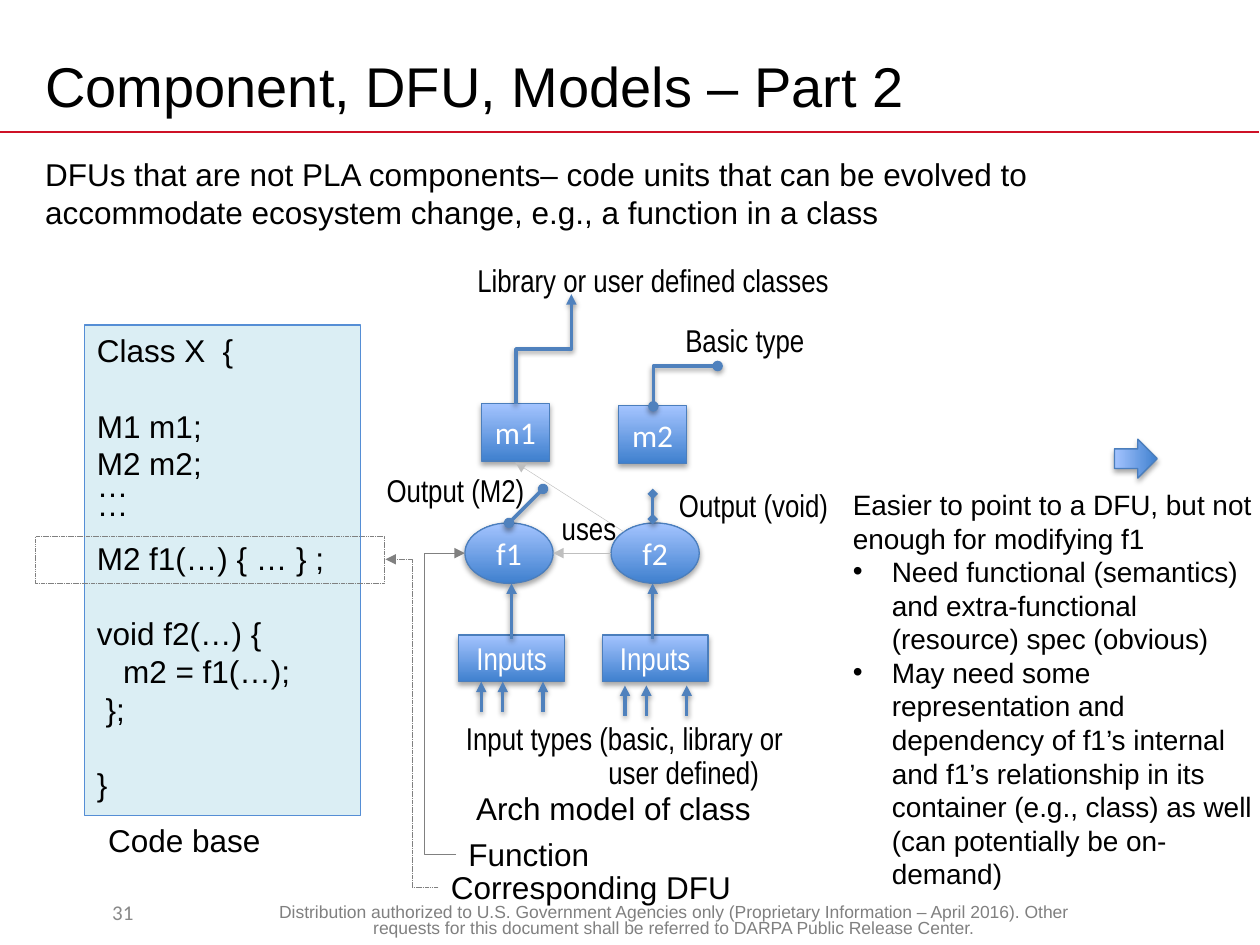
from lxml import etree
from pptx import Presentation
from pptx import util as u
from pptx.dml.color import RGBColor
from pptx.enum import dml, shapes, text
from pptx.oxml import ns

Inches, Pt = u.Inches, u.Pt
MSO, ELBOW, LINE = shapes.MSO_SHAPE, shapes.MSO_CONNECTOR.ELBOW, shapes.MSO_CONNECTOR.STRAIGHT
CENTER, MIDDLE = text.PP_ALIGN.CENTER, text.MSO_ANCHOR.MIDDLE
NARROW, BLUE, GRAY, PALE = "Arial Narrow", "4F81BD", "808080", "BFBFBF"
rgb = RGBColor.from_string

prs = Presentation()
prs.slide_width, prs.slide_height = Inches(10), Inches(7.5)
slide = prs.slides.add_slide(prs.slide_layouts[6])
art = slide.shapes


def put(words, at, kind=None, size=18, font="Arial", color="000000", align=None,
        anchor=text.MSO_ANCHOR.TOP, space=None, wrap=True, fill=None, line=None,
        wide=0.75, dash=None, turn=0, gaps={}, tight={}, hang=(), indent={}):
    """Add a text box, or a preset shape if kind is given.

    A fill of "grad" is the blue blend with a shadow. gaps (points before),
    tight (line spacing) and indent (inches) are keyed by paragraph number;
    hang lists the bulleted paragraphs.
    """
    box = [Inches(n) for n in at]
    if kind is None:
        shape = art.add_textbox(*box)
    else:
        shape = art.add_shape(kind, *box)
        shape.rotation = turn
        shape.shadow.inherit = False
        if fill == "grad":
            shape.fill.gradient()
            shape.fill.gradient_angle = 90
            for stop, hue in zip(shape.fill.gradient_stops, ("3F80CE", "A4C4FF")):
                stop.color.rgb = rgb(hue)
            glow = shape._element.spPr.find(ns.qn("a:effectLst"))
            shade(glow, 35, 1.8)
        elif fill:
            shape.fill.solid()
            shape.fill.fore_color.rgb = rgb(fill)
        else:
            shape.fill.background()
        shape.line.color.rgb = rgb(line)
        shape.line.width = Pt(wide)
        if dash:
            shape.line.dash_style = dash
    if not words:
        return
    frame = shape.text_frame
    frame.word_wrap, frame.vertical_anchor = wrap, anchor
    for i, row in enumerate(words.split("\n")):
        para = frame.paragraphs[0] if i == 0 else frame.add_paragraph()
        props = para._p.get_or_add_pPr()
        if i in hang:
            props.set("marL", str(Inches(0.31)))
            props.set("indent", str(-Inches(0.31)))
            etree.SubElement(props, ns.qn("a:buFont")).set("typeface", "Arial")
            etree.SubElement(props, ns.qn("a:buChar")).set("char", "•")
        elif i in indent:
            props.set("marL", str(Inches(indent[i])))
        para.alignment = align or text.PP_ALIGN.LEFT
        if i in gaps:
            para.space_before = Pt(gaps[i])
        if i in tight or space:
            para.line_spacing = tight.get(i, space)
        run = para.add_run()
        run.text = row
        run.font.size, run.font.name = Pt(size), font
        run.font.color.rgb = rgb(color)


def shade(glow, alpha, dist):
    """Put the soft drop shadow in an effect list."""
    drop = etree.SubElement(glow, ns.qn("a:outerShdw"), blurRad=str(Pt(3.1)),
                            dist=str(Pt(dist)), dir="5400000", rotWithShape="0")
    hue = etree.SubElement(drop, ns.qn("a:srgbClr"), val="000000")
    etree.SubElement(hue, ns.qn("a:alpha"), val=str(alpha * 1000))


# Footer and heading
put("Distribution authorized to U.S. Government Agencies only (Proprietary Information – "
    "April 2016). Other requests for this document shall be referred to DARPA Public "
    "Release Center.", (2.11, 7.13, 6.47, 0.31), size=10, color=GRAY, align=CENTER, space=0.8)
put("31", (0.28, 7.04, 1.39, 0.4), size=12, font="Calibri", color="898989",
    align=CENTER, anchor=MIDDLE)
put("Component, DFU, Models – Part 2", (0.26, 0.3, 9, 0.75), size=32, anchor=MIDDLE)
put("DFUs that are not PLA components– code units that can be evolved to accommodate "
    "ecosystem change, e.g., a function in a class", (0.26, 1.18, 9.33, 0.71))

# Code listing, with the function f1 framed
code = """Class X  {
M1 m1;
M2 m2;
…
…
M2 f1(…) { … } ;
void f2(…) {
   m2 = f1(…);
 };
}"""
put(code, (0.67, 2.58, 2.19, 3.89), MSO.RECTANGLE, fill="DBEEF4", line="558ED5",
    gaps={1: 21.5, 5: 10.75, 6: 21.5, 9: 21.5}, tight={3: 0.5, 4: 0.5})
put("", (0.28, 4.26, 2.77, 0.37), MSO.RECTANGLE, line=GRAY, wide=0.25,
    dash=dml.MSO_LINE.SQUARE_DOT)

# Captions
for words, x, y, w in (("Code base", 0.76, 6.47, 1.81),
                       ("Arch model of class", 3.68, 6.21, 2.43),
                       ("Function", 3.62, 6.58, 2.43),
                       ("Corresponding DFU", 3.48, 6.84, 2.43)):
    put(words, (x, y, w, 0.4))

# Model nodes
for words, x, y, w, h, kind, font in (
        ("m1", 3.82, 3.2, 0.54, 0.46, MSO.RECTANGLE, "Calibri"),
        ("f1", 3.69, 4.15, 0.7, 0.48, MSO.OVAL, "Calibri"),
        ("m2", 4.91, 3.22, 0.54, 0.46, MSO.RECTANGLE, "Calibri"),
        ("f2", 4.85, 4.15, 0.7, 0.48, MSO.OVAL, "Calibri"),
        ("Inputs", 4.78, 5.04, 0.84, 0.37, MSO.RECTANGLE, NARROW),
        ("Inputs", 3.64, 5.04, 0.84, 0.37, MSO.RECTANGLE, NARROW)):
    put(words, (x, y, w, h), kind, font=font, color="FFFFFF", align=CENTER,
        anchor=MIDDLE, wrap=False, fill="grad", line="4B7EBC")

# Links: kind, ends, colour, width, start head, end head, extras
links = [
    (LINE, (0, 1.05, 9.99, 1.05), "CE1126", 1, None, None, {}),
    (ELBOW, (3.62, 6.78, 3.69, 4.39), GRAY, 0.25, None, "triangle", {"bend": -3.57}),
    (ELBOW, (3.48, 7.04, 3.06, 4.44), GRAY, 0.25, None, "triangle", {"dash": True}),
    (ELBOW, (5.6, 3.32, 5.28, 2.81), BLUE, 2, "oval", "oval",
     {"turn": 90, "form": "bentConnector2"}),
    (ELBOW, (4.75, 2.99, 3.88, 2.55), BLUE, 2, None, "triangle", {"turn": 90}),
    (LINE, (4.39, 4.39, 4.85, 4.39), PALE, 0.25, "triangle", None, {}),
    (LINE, (4.95, 4.22, 4.09, 3.67), PALE, 0.25, None, "triangle", {}),
    (LINE, (4.04, 4.15, 4.31, 3.88), BLUE, 2, "oval", "oval", {}),
    (LINE, (5.18, 4.12, 5.18, 3.92), BLUE, 2, "diamond", "diamond", {}),
]
rises = [(x, 5.07, 4.63) for x in (4.06, 5.18)]
for left, low in ((3.82, 5.65), (4.96, 5.68)):
    rises += [(left + step, low, low - 0.24) for step in (0, 0.17, 0.49)]
links += [(LINE, (x, low, x, top), BLUE, 2, None, "triangle", {}) for x, low, top in rises]

for kind, ends, color, wide, head, tail, more in links:
    link = art.add_connector(kind, *[Inches(n) for n in ends])
    link.line.color.rgb, link.line.width = rgb(color), Pt(wide)
    if "dash" in more:
        link.line.dash_style = dml.MSO_LINE.SQUARE_DOT
    props = link._element.spPr
    geom = props.find(ns.qn("a:prstGeom"))
    if "turn" in more:
        props.find(ns.qn("a:xfrm")).set("rot", str(more["turn"] * 60000))
    if "form" in more:
        geom.set("prst", more["form"])
    if "bend" in more:
        etree.SubElement(geom.find(ns.qn("a:avLst")), ns.qn("a:gd"), name="adj1",
                         fmla=f"val {round(more['bend'] * 100000)}")
    for tag, tip in (("a:headEnd", head), ("a:tailEnd", tail)):
        if tip:
            etree.SubElement(props.find(ns.qn("a:ln")), ns.qn(tag), type=tip)
    glow = etree.SubElement(props, ns.qn("a:effectLst"))
    if color == BLUE:
        shade(glow, 38, 1.6)

# Model labels
for words, x, y, w in (("Basic type", 5.34, 2.5, 1.22),
                       ("Library or user defined classes", 3.69, 2.02, 3.04),
                       ("uses", 4.36, 3.99, 0.68),
                       ("Output (void)", 5.29, 3.81, 1.47),
                       ("Output (M2)", 2.97, 3.69, 1.32)):
    put(words, (x, y, w, 0.4), font=NARROW)
put("Input types (basic, library or\nuser defined)", (3.6, 5.69, 3.16, 0.65),
    font=NARROW, space=0.9, indent={1: 1.13})

# Remarks and arrow
put("Easier to point to a DFU, but not enough for modifying f1\n"
    "Need functional (semantics) and extra-functional (resource) spec (obvious)\n"
    "May need some representation and dependency of f1’s internal and f1’s relationship "
    "in its container (e.g., class) as well (can potentially be on-demand)",
    (6.67, 3.82, 3.42, 3.33), size=16, hang=(1, 2))
put("", (8.86, 3.47, 0.31, 0.34), MSO.DOWN_ARROW, fill="grad", line="4B7EBC", turn=270)

prs.save("out.pptx")
